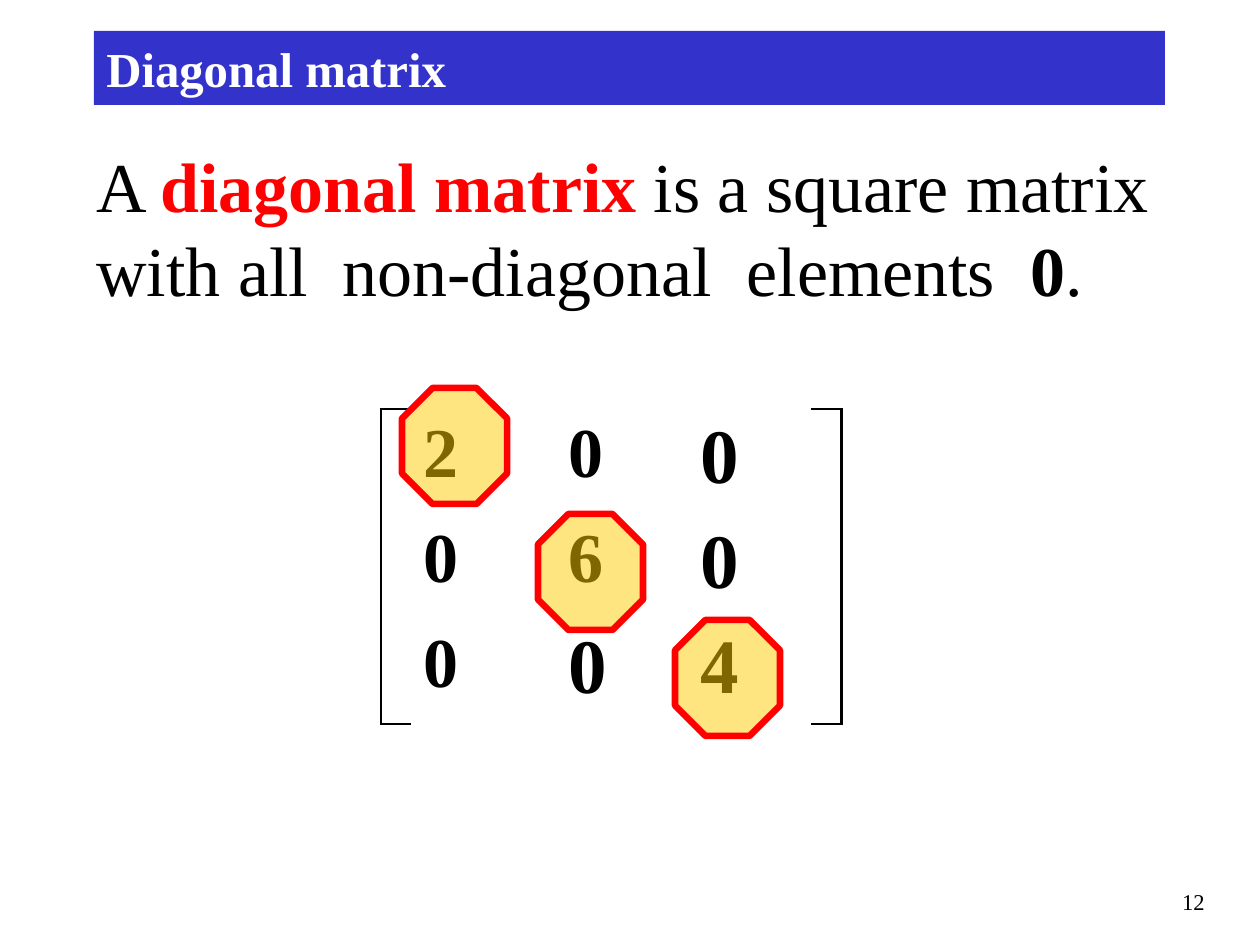
from typing import NamedTuple

from lxml import etree
from pptx import Presentation
from pptx.dml.color import RGBColor
from pptx.enum.shapes import MSO_SHAPE
from pptx.enum.text import MSO_ANCHOR, PP_ALIGN
from pptx.oxml.ns import qn
from pptx.util import Emu, Pt

RECT, OCTAGON = MSO_SHAPE.RECTANGLE, MSO_SHAPE.OCTAGON
TOP, MIDDLE = MSO_ANCHOR.TOP, MSO_ANCHOR.MIDDLE
LEFT, RIGHT = PP_ALIGN.LEFT, PP_ALIGN.RIGHT

BLACK = RGBColor(0x00, 0x00, 0x00)
WHITE = RGBColor(0xFF, 0xFF, 0xFF)
RED = RGBColor(0xFF, 0x00, 0x00)
BLUE = RGBColor(0x33, 0x33, 0xCC)
GOLD = RGBColor(0xFF, 0xCC, 0x00)

FONT = "Times New Roman"
DPI = 126
RULE = Pt(1.5)


class Box(NamedTuple):
    left: int
    top: int
    width: int
    height: int


class Run(NamedTuple):
    text: str
    bold: bool = False
    color: RGBColor = BLACK


class Entry(NamedTuple):
    text: str
    size: int = 40


COLS = (30, 145, 132, 93, 30, 30)
ROW = 105
MATRIX = (
    (Entry("2"), Entry("0"), Entry("0", 44)),
    (Entry("0"), Entry("6"), Entry("0", 44)),
    (Entry("0"), Entry("0", 44), Entry("4", 44)),
)
MARKS = (
    Box(402, 388, 105, 116),
    Box(538, 514, 105, 116),
    Box(675, 620, 105, 116),
)


def px(value: int) -> Emu:
    return Emu(round(value * 914400 / DPI))


def place(box: Box) -> list[Emu]:
    return [px(value) for value in box]


def write(frame, *runs: Run, size: float, align=LEFT, anchor=TOP) -> None:
    frame.word_wrap = True
    frame.vertical_anchor = anchor
    para = frame.paragraphs[0]
    para.alignment = align
    for item in runs:
        run = para.add_run()
        run.text = item.text
        font = run.font
        font.name, font.size, font.bold = FONT, Pt(size), item.bold
        font.color.rgb = item.color


def add_text(slide, box: Box, *runs: Run, **style) -> None:
    write(slide.shapes.add_textbox(*place(box)).text_frame, *runs, **style)


def add_shape(slide, kind, box: Box, fill: RGBColor):
    shape = slide.shapes.add_shape(kind, *place(box))
    shape.shadow.inherit = False
    shape.fill.solid()
    shape.fill.fore_color.rgb = fill
    shape.line.fill.background()
    return shape


def add_mark(slide, box: Box) -> None:
    """Ring a diagonal entry with a half-transparent octagon."""
    mark = add_shape(slide, OCTAGON, box, GOLD)
    mark.adjustments[0] = 0.29
    mark.line.color.rgb = RED
    mark.line.width = Pt(3.75)
    color = mark.fill._xPr.find(qn("a:solidFill"))[0]
    etree.SubElement(color, qn("a:alpha"), val="50000")


def set_edges(cell, edges: str) -> None:
    """Rule the sides named in edges and clear the others."""
    props = cell._tc.get_or_add_tcPr()
    for side in "LRTB":
        line = etree.SubElement(props, qn(f"a:ln{side}"), w=str(RULE))
        if side in edges:
            fill = etree.SubElement(line, qn("a:solidFill"))
            etree.SubElement(fill, qn("a:srgbClr"), val=str(BLACK))
        else:
            etree.SubElement(line, qn("a:noFill"))
    cell.fill.background()


def add_matrix(slide, left: int, top: int) -> None:
    """Draw the entries inside brackets made of cell borders."""
    count, last = len(MATRIX), len(COLS) - 1
    box = Box(left, top, sum(COLS), ROW * count)
    table = slide.shapes.add_table(count, len(COLS), *place(box)).table
    table.first_row = table.horz_banding = False
    for column, width in zip(table.columns, COLS):
        column.width = px(width)
    for r, entries in enumerate(MATRIX):
        table.rows[r].height = px(ROW)
        ends = "T" * (r == 0) + "B" * (r == count - 1)
        for c in range(len(COLS)):
            side = {0: "L", last: "R"}.get(c)
            set_edges(table.cell(r, c), side + ends if side else "")
        for c, entry in enumerate(entries, 1):
            write(table.cell(r, c).text_frame, Run(entry.text, bold=True),
                  size=entry.size)


def main() -> None:
    deck = Presentation()
    deck.slide_width, deck.slide_height = px(1260), px(945)
    slide = deck.slides.add_slide(deck.slide_layouts[6])

    add_text(slide, Box(955, 882, 262, 42), Run("12"), size=12.9, align=RIGHT)
    title = add_shape(slide, RECT, Box(94, 31, 1071, 74), BLUE)
    write(title.text_frame, Run("Diagonal matrix", True, WHITE),
          size=27.9, anchor=MIDDLE)
    add_text(
        slide, Box(84, 136, 1144, 181),
        Run("A "),
        Run("diagonal matrix", True, RED),
        Run(" is a square matrix with all  non-diagonal  elements  "),
        Run("0", True),
        Run("."),
        size=40,
    )
    add_matrix(slide, 381, 409)
    for mark in MARKS:
        add_mark(slide, mark)
    deck.save("out.pptx")


if __name__ == "__main__":
    main()
